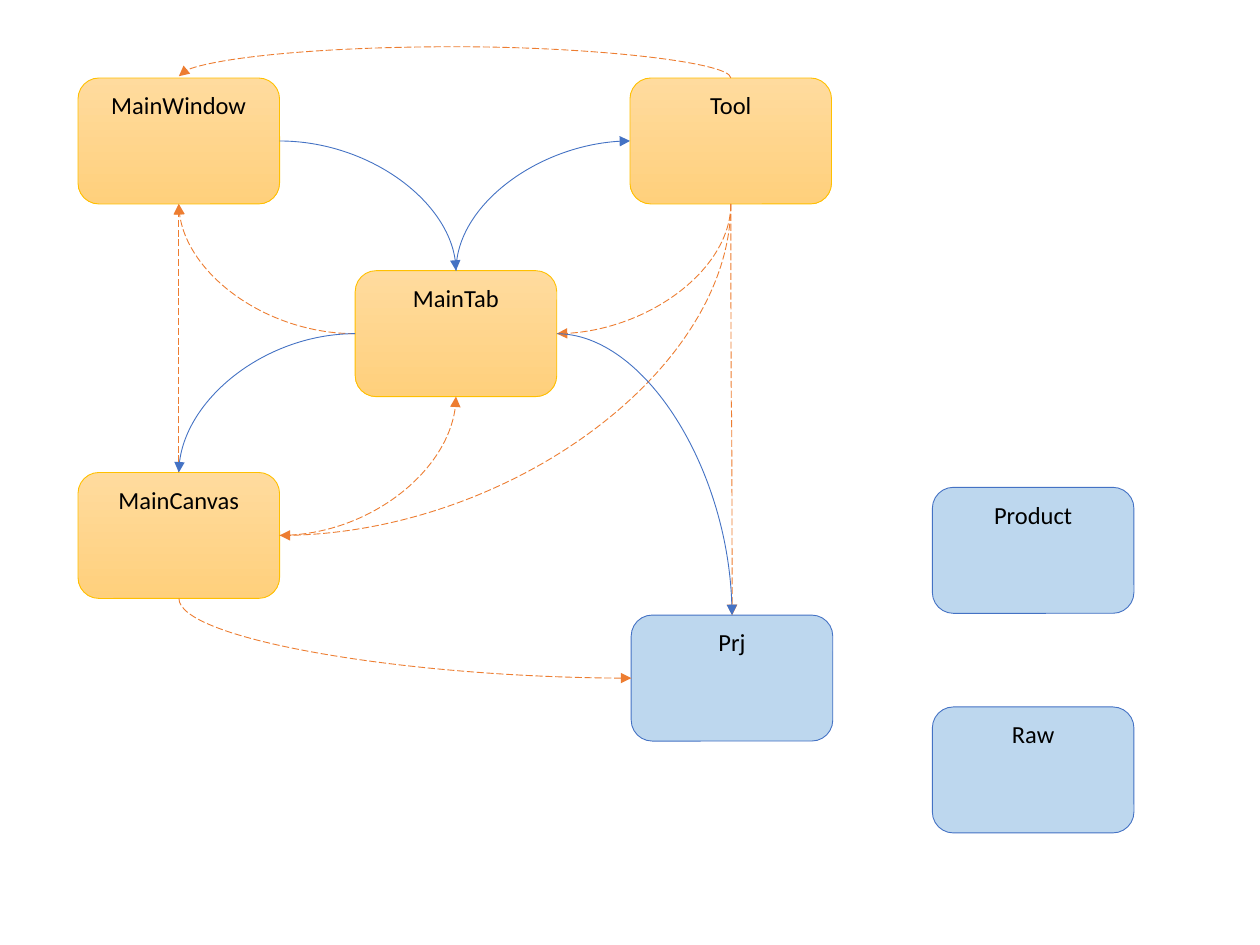
import pptx
import pptx.util
import pptx.dml.color
import pptx.enum.dml
import pptx.enum.shapes
import pptx.enum.text
import pptx.oxml
import pptx.oxml.ns
import lxml.etree

Pt = pptx.util.Pt
RGBColor = pptx.dml.color.RGBColor
qn = pptx.oxml.ns.qn

BLACK = RGBColor(0x00, 0x00, 0x00)
BLUE = RGBColor(0x44, 0x72, 0xC4)
PALE_BLUE = RGBColor(0xBD, 0xD7, 0xEE)
ORANGE = RGBColor(0xED, 0x7D, 0x31)
GOLD = RGBColor(0xFF, 0xC0, 0x00)
GOLD_TOP = RGBColor(0xFF, 0xDB, 0x9E)
GOLD_BOTTOM = RGBColor(0xFF, 0xD0, 0x7C)

TOP, LEFT, BOTTOM, RIGHT = range(4)
SITES = {TOP: (0.5, 0), LEFT: (0, 0.5), BOTTOM: (0.5, 1), RIGHT: (1, 0.5)}
BOX_WIDTH, BOX_HEIGHT = 115.2, 72
LINE_WIDTH = 0.5

INTERFACE_BOXES = {
    "MainWindow": (44.6, 44.6),
    "MainTab": (203, 154.7),
    "MainCanvas": (44.6, 270),
    "Tool": (360, 44.6),
}
DATA_BOXES = {
    "Prj": (360.7, 351.5),
    "Product": (532.8, 278.5),
    "Raw": (532.8, 404),
}
BOXES = {**INTERFACE_BOXES, **DATA_BOXES}

OWNS = (BLUE, None)
USES = (ORANGE, pptx.enum.dml.MSO_LINE.LONG_DASH)
ARROWS = [
    ("MainCanvas", TOP, "MainWindow", BOTTOM, USES),
    ("MainCanvas", BOTTOM, "Prj", LEFT, USES),
    ("MainTab", LEFT, "MainWindow", BOTTOM, USES),
    ("Tool", TOP, "MainWindow", TOP, USES),
    ("Tool", BOTTOM, "Prj", TOP, USES),
    ("MainTab", TOP, "Tool", LEFT, OWNS),
    ("MainTab", LEFT, "MainCanvas", TOP, OWNS),
    ("Tool", BOTTOM, "MainCanvas", RIGHT, USES),
    ("Tool", BOTTOM, "MainTab", RIGHT, USES),
    ("MainWindow", RIGHT, "MainTab", TOP, OWNS),
    ("MainCanvas", RIGHT, "MainTab", BOTTOM, USES),
    ("MainTab", RIGHT, "Prj", TOP, OWNS),
]
ARCH_LIFT = 1
ARCH_BEND = 1800000


def add_box(slide, name, left, top):
    shape = slide.shapes.add_shape(
        pptx.enum.shapes.MSO_SHAPE.ROUNDED_RECTANGLE,
        Pt(left), Pt(top), Pt(BOX_WIDTH), Pt(BOX_HEIGHT))
    shape.shadow.inherit = False
    shape.line.width = Pt(LINE_WIDTH)
    if name in INTERFACE_BOXES:
        shape.fill.gradient()
        shape.fill.gradient_angle = 270
        for stop, color in zip(shape.fill.gradient_stops, (GOLD_TOP, GOLD_BOTTOM)):
            stop.color.rgb = color
        shape.line.color.rgb = GOLD
    else:
        shape.fill.solid()
        shape.fill.fore_color.rgb = PALE_BLUE
        shape.line.color.rgb = BLUE
    text_frame = shape.text_frame
    text_frame.text = name
    text_frame.vertical_anchor = pptx.enum.text.MSO_ANCHOR.TOP
    paragraph = text_frame.paragraphs[0]
    paragraph.alignment = pptx.enum.text.PP_ALIGN.CENTER
    font = paragraph.runs[0].font
    font.name = "Calibri"
    font.size = Pt(14)
    font.color.rgb = BLACK
    return shape


def site_point(name, site):
    left, top = BOXES[name]
    across, down = SITES[site]
    return left + across * BOX_WIDTH, top + down * BOX_HEIGHT


def place_curve(connector, start, end, vertical):
    (start_x, start_y), (end_x, end_y) = start, end
    run, drop = end_x - start_x, end_y - start_y
    width, height = abs(run), abs(drop)
    if vertical:
        width, height = height, width
        rotation, flips = 90, [drop < 0, run >= 0]
        turn = run * drop > 0
    else:
        rotation, flips = 0, [run < 0, drop < 0]
        turn = run < 0
    if turn:
        rotation += 180
        flips = [not flip for flip in flips]
    connector.left = Pt((start_x + end_x - width) / 2)
    connector.top = Pt((start_y + end_y - height) / 2)
    connector.width, connector.height = Pt(width), Pt(height)
    transform = connector.element.spPr.find(qn("a:xfrm"))
    transform.set("rot", str(rotation * 60000))
    for attribute, flip in zip(("flipH", "flipV"), flips):
        transform.set(attribute, str(int(flip)))


def add_arrow(slide, shapes, source, source_site, target, target_site, style):
    color, dash = style
    start, end = site_point(source, source_site), site_point(target, target_site)
    arch = source_site == target_site
    if arch:
        end = (end[0], end[1] - ARCH_LIFT)
    connector = slide.shapes.add_connector(
        pptx.enum.shapes.MSO_CONNECTOR.CURVE, *map(Pt, start + end))
    connector.begin_connect(shapes[source], source_site)
    connector.end_connect(shapes[target], target_site)
    vertical = source_site in (TOP, BOTTOM)
    place_curve(connector, start, end, vertical)
    properties = connector.element.spPr
    geometry = properties.find(qn("a:prstGeom"))
    if vertical != (target_site in (TOP, BOTTOM)):
        geometry.set("prst", "curvedConnector2")
    elif arch:
        guide = lxml.etree.SubElement(geometry.find(qn("a:avLst")), qn("a:gd"))
        guide.set("name", "adj1")
        guide.set("fmla", f"val {ARCH_BEND}")
    connector.line.color.rgb = color
    connector.line.width = Pt(LINE_WIDTH)
    if dash:
        connector.line.dash_style = dash
    tail = lxml.etree.SubElement(properties.get_or_add_ln(), qn("a:tailEnd"))
    tail.set("type", "triangle")
    lxml.etree.SubElement(properties, qn("a:effectLst"))


presentation = pptx.Presentation()
presentation.slide_width, presentation.slide_height = Pt(720), Pt(540)
slide = presentation.slides.add_slide(presentation.slide_layouts[6])
shapes = {name: add_box(slide, name, *corner) for name, corner in BOXES.items()}
for arrow in ARROWS:
    add_arrow(slide, shapes, *arrow)
presentation.save("out.pptx")
